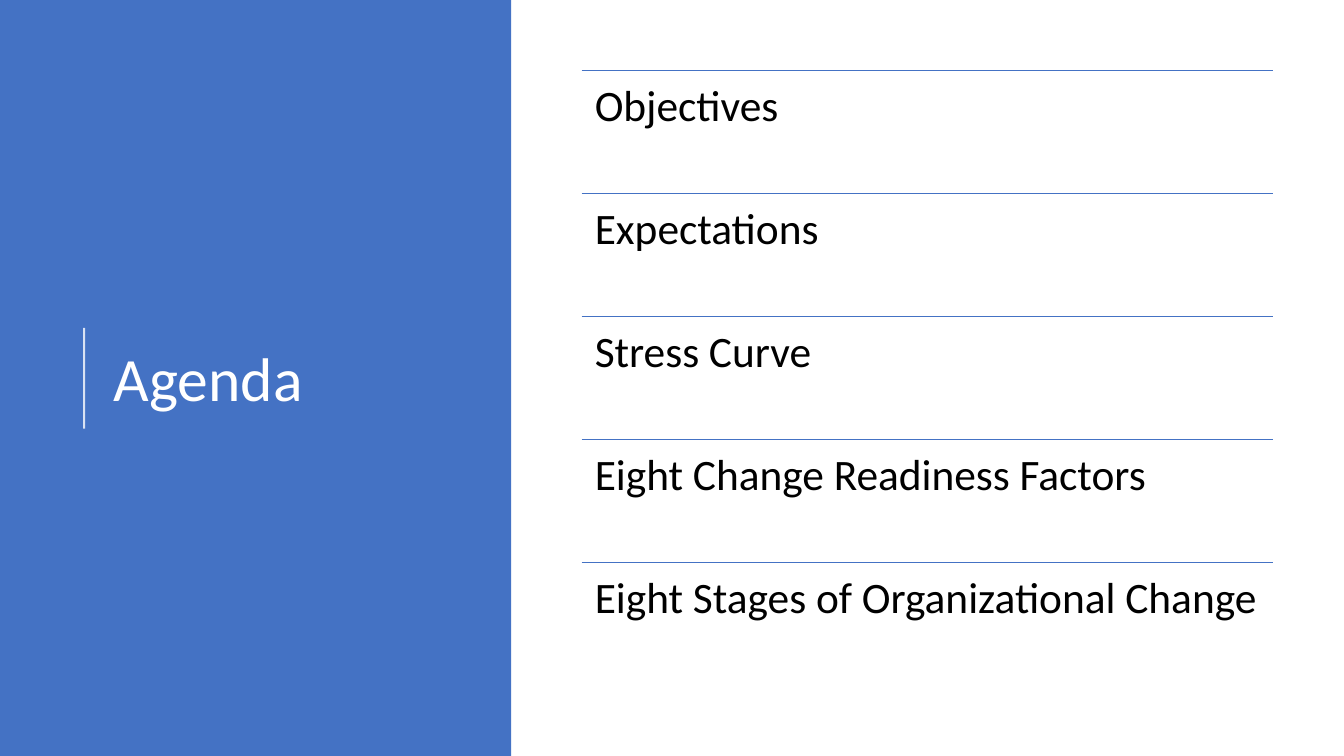
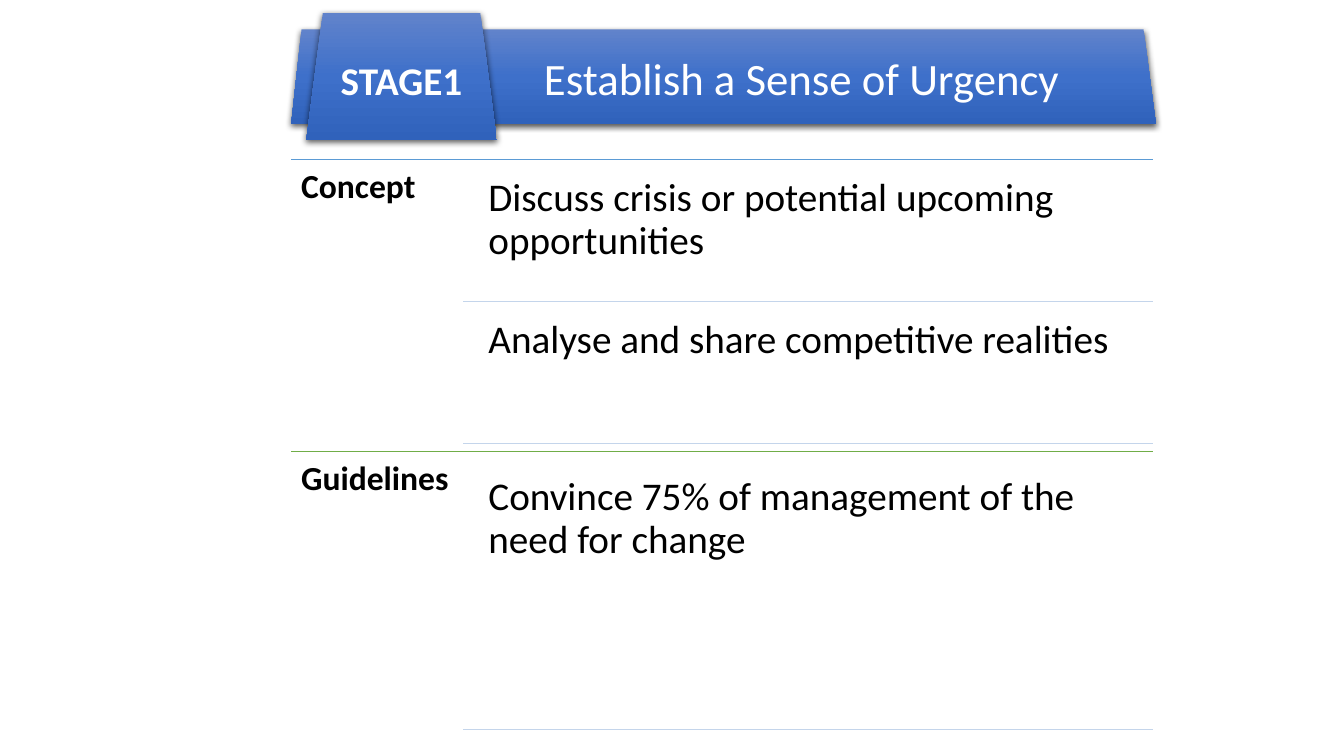
import copy

import lxml.etree
import pptx
import pptx.dml.color
import pptx.enum.shapes
import pptx.enum.text
import pptx.oxml.ns
import pptx.util

Cm = pptx.util.Cm
Pt = pptx.util.Pt
qn = pptx.oxml.ns.qn
SHAPES = pptx.enum.shapes.MSO_SHAPE
ANCHOR = pptx.enum.text.MSO_ANCHOR
ALIGN = pptx.enum.text.PP_ALIGN

# Shared look
FONT = "Calibri"
BLUE, WHITE, BLACK = "4472C4", "FFFFFF", "000000"
SECTION_BLUE, SECTION_GREEN, DETAIL_BLUE = "5B9BD5", "70AD47", "C4D5EB"
BANNER_STOPS = [(0, "6183CB"), (0.5, "3E70CA"), (1, "3062BB")]
TITLE = {"size": Pt(44), "color": WHITE}
AGENDA_ITEM = {"size": Pt(31), "color": BLACK}
SECTION_LABEL = {"size": Pt(24), "color": BLACK, "bold": True}
DETAIL = {"size": Pt(28), "color": BLACK}
BANNER_TEXT = {"size": Pt(32), "color": WHITE}
TAG_TEXT = {"size": Pt(28), "color": WHITE, "bold": True}


def rgb(color):
    return pptx.dml.color.RGBColor.from_string(color)


def write_text(frame, text, style):
    """Fill the frame with one paragraph in the given style."""
    paragraph = frame.paragraphs[0]
    paragraph.text = text
    font = paragraph.runs[0].font
    font.name = FONT
    for name, value in style.items():
        if name == "color":
            font.color.rgb = rgb(value)
        else:
            setattr(font, name, value)
    return paragraph


def add_text(slide, text, left, top, width, height, style, inset, anchor=ANCHOR.TOP):
    box = slide.shapes.add_textbox(Cm(left), Cm(top), Cm(width), Cm(height))
    frame = box.text_frame
    frame.word_wrap = True
    frame.vertical_anchor = anchor
    for side in ("left", "top", "right", "bottom"):
        setattr(frame, f"margin_{side}", Cm(inset))
    write_text(frame, text, style).line_spacing = 0.9


def add_line(slide, start, end, color, width, opacity=None):
    connector = slide.shapes.add_connector(
        pptx.enum.shapes.MSO_CONNECTOR.STRAIGHT, *map(Cm, start + end))
    connector.line.color.rgb = rgb(color)
    connector.line.width = Pt(width)
    properties = connector._element.spPr
    if opacity is not None:
        color_element = next(properties.iter(qn("a:srgbClr")))
        lxml.etree.SubElement(color_element, qn("a:alpha"), val=str(opacity * 1000))
    lxml.etree.SubElement(properties, qn("a:effectLst"))


def add_shape(slide, kind, left, top, width, height):
    shape = slide.shapes.add_shape(kind, Cm(left), Cm(top), Cm(width), Cm(height))
    shape.shadow.inherit = False
    shape.line.fill.background()
    return shape


def add_banner(slide, left, top, width, height, text=None, style=None):
    """Add a shaded trapezoid with a soft shadow and optional centred text."""
    banner = add_shape(slide, SHAPES.TRAPEZOID, left, top, width, height)
    banner.adjustments[0] = 0.13

    # Three-stop gradient, top to bottom
    banner.fill.gradient()
    banner.fill.gradient_angle = 270
    stop_list = next(banner._element.spPr.iter(qn("a:gsLst")))
    stop_list.append(copy.deepcopy(stop_list[-1]))
    for stop, (position, color) in zip(banner.fill.gradient_stops, BANNER_STOPS):
        stop.position = position
        stop.color.rgb = rgb(color)

    # Shadow straight below
    effects = banner._element.spPr.find(qn("a:effectLst"))
    shadow = lxml.etree.SubElement(
        effects, qn("a:outerShdw"), blurRad=str(Pt(4.5)), dist=str(Pt(1.5)),
        dir="5400000", algn="ctr", rotWithShape="0")
    shadow_color = lxml.etree.SubElement(shadow, qn("a:srgbClr"), val=BLACK)
    lxml.etree.SubElement(shadow_color, qn("a:alpha"), val="63000")

    if text:
        banner.text_frame.vertical_anchor = ANCHOR.MIDDLE
        banner.text_frame.word_wrap = True
        write_text(banner.text_frame, text, style).alignment = ALIGN.CENTER
    return banner


def add_agenda_item(slide, text, top):
    left, width = 14.66, 17.42
    add_line(slide, (left, top), (left + width, top), BLUE, 1)
    add_text(slide, text, left, top, width, 3.1, AGENDA_ITEM, 0.33)


def add_section(slide, label, details, top, color):
    """Add a labelled section whose details share its height equally."""
    left, detail_left, right, height = 7.34, 11.68, 29.06, 7.34
    add_line(slide, (left, top), (right, top), color, 0.5)
    add_text(slide, label, left, top, detail_left - left, height, SECTION_LABEL, 0.25)

    # Each gap is a twentieth of a detail row
    count = len(details)
    row = height / (count + 0.05 * (count + 1))
    gap = 0.05 * row
    text_left = detail_left + 0.33
    for index, detail in enumerate(details):
        row_top = top + gap + index * (row + gap)
        add_text(slide, detail, text_left, row_top, right - text_left, row, DETAIL, 0.3)
        bottom = row_top + row
        add_line(slide, (detail_left, bottom), (right, bottom), DETAIL_BLUE, 0.5)


def build_agenda(slide):
    # Title panel
    panel = add_shape(slide, SHAPES.RECTANGLE, 0, 0, 12.88, 19.05)
    panel.fill.solid()
    panel.fill.fore_color.rgb = rgb(BLUE)
    add_line(slide, (2.12, 10.8), (2.12, 8.26), WHITE, 1.5, opacity=80)
    add_text(slide, "Agenda", 2.62, 1.98, 9.37, 15.29, TITLE, 0.25, ANCHOR.MIDDLE)

    # Agenda list
    items = ["Objectives", "Expectations", "Stress Curve",
             "Eight Change Readiness Factors", "Eight Stages of Organizational Change"]
    for index, item in enumerate(items):
        add_agenda_item(slide, item, 1.78 + index * 3.1)


def build_stage(slide):
    # Sections
    add_section(slide, "Concept",
                ["Discuss crisis or potential upcoming opportunities",
                 "Analyse and share competitive realities"], 4.01, SECTION_BLUE)
    add_section(slide, "Guidelines",
                ["Convince 75% of management of the need for change"], 11.38, SECTION_GREEN)

    # Banner with the stage tag on top
    add_banner(slide, 7.34, 0.74, 2, 2.39)
    heading = add_banner(slide, 11.53, 0.74, 17.6, 2.39,
                         "Establish a Sense of Urgency", BANNER_TEXT)
    heading.text_frame.margin_right = Cm(0.5)
    add_banner(slide, 7.72, 0.33, 4.8, 3.2, "STAGE1", TAG_TEXT)


def main():
    presentation = pptx.Presentation()
    presentation.slide_width = Cm(33.87)
    presentation.slide_height = Cm(19.05)
    for build in (build_agenda, build_stage):
        build(presentation.slides.add_slide(presentation.slide_layouts[6]))
    presentation.save("out.pptx")


if __name__ == "__main__":
    main()
